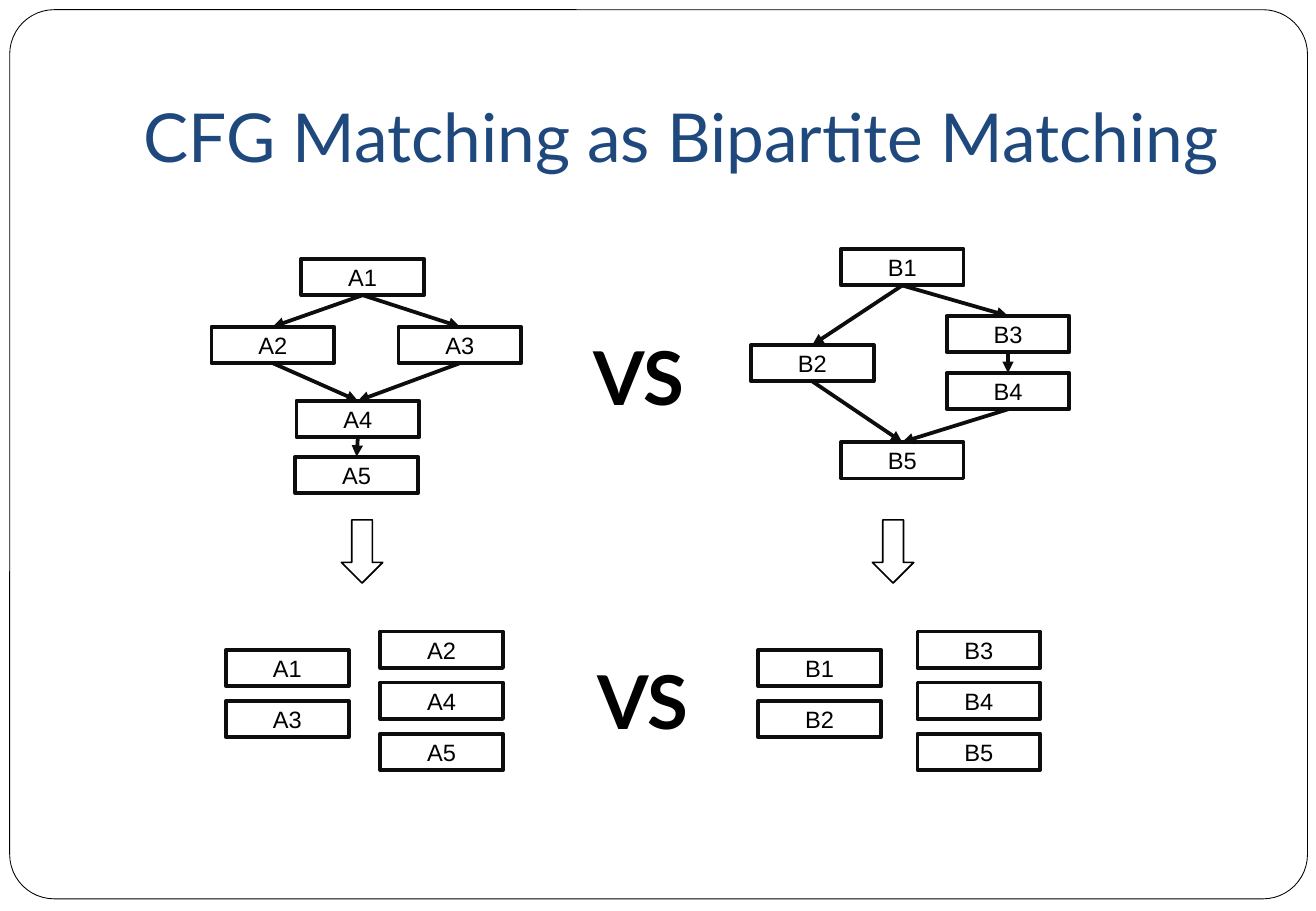
from lxml.etree import SubElement
from pptx import Presentation
from pptx.dml.color import RGBColor
from pptx.enum.shapes import MSO_CONNECTOR, MSO_SHAPE
from pptx.enum.text import MSO_ANCHOR, MSO_AUTO_SIZE, PP_ALIGN
from pptx.oxml.ns import qn
from pptx.util import Inches, Pt

TITLE = "CFG Matching as Bipartite Matching"
COLOURS = {"title": "1F497D", "paper": "FFFFFF", "text": "000000", "edge": "0D0D0D"}

COLUMNS, ROWS = 108.3, 75
CELL = Inches(0.1)
NODE_SIZE = (10.1, 3)
GRAPHS = [
    {
        "nodes": {"A1": (24.8, 21.3), "A2": (17.4, 26.9), "A3": (32.8, 26.9),
                  "A4": (24.4, 33), "A5": (24.3, 37.6)},
        "edges": [("A1", "A2"), ("A1", "A3"), ("A2", "A4"), ("A3", "A4"), ("A4", "A5")],
    },
    {
        "nodes": {"B1": (69.2, 20.5), "B2": (61.8, 28.4), "B3": (77.9, 26),
                  "B4": (77.9, 30.7), "B5": (69.2, 36.4)},
        "edges": [("B1", "B2"), ("B1", "B3"), ("B2", "B5"), ("B3", "B4"), ("B4", "B5")],
    },
]
STACK_STEP = 4.2
STACKS = [
    (18.6, 53.5, ["A1", "A3"]),
    (31.3, 52, ["A2", "A4", "A5"]),
    (62.4, 53.5, ["B1", "B2"]),
    (75.5, 52, ["B3", "B4", "B5"]),
]
VERSUS = [(47.7, 26.8), (48, 53.5)]
VERSUS_SIZE = (9.8, 8.4)
DOWN_ARROWS = [(28.1, 42.8), (71.8, 42.8)]
DOWN_ARROW_SIZE = (3.4, 5.2)


def colour(name):
    return RGBColor.from_string(COLOURS[name])


def place(position, size):
    return [round(cells * CELL) for cells in (*position, *size)]


def write(shape, words, font, size, tint, align, bold=False):
    para = shape.text_frame.paragraphs[0]
    para.alignment = align
    span = para.add_run()
    span.text = words
    span.font.name = font
    span.font.size = Pt(size)
    span.font.bold = bold
    span.font.color.rgb = colour(tint)


def add_outline(page, kind, position, size, line, width):
    shape = page.shapes.add_shape(kind, *place(position, size))
    shape.shadow.inherit = False
    shape.fill.solid()
    shape.fill.fore_color.rgb = colour("paper")
    shape.line.color.rgb = colour(line)
    shape.line.width = Pt(width)
    return shape


def add_node(page, name, position):
    node = add_outline(page, MSO_SHAPE.RECTANGLE, position, NODE_SIZE, "edge", 2.25)
    node.text_frame.vertical_anchor = MSO_ANCHOR.MIDDLE
    write(node, name, "Arial", 14, "text", PP_ALIGN.CENTER)
    return node


def add_edge(page, parent, child):
    edge = page.shapes.add_connector(MSO_CONNECTOR.STRAIGHT, 0, 0, 0, 0)
    edge.begin_connect(parent, 2)
    edge.end_connect(child, 0)
    edge.line.color.rgb = colour("edge")
    edge.line.width = Pt(2.25)
    SubElement(edge.line._get_or_add_ln(), qn("a:tailEnd"), type="triangle")
    SubElement(edge._element.spPr, qn("a:effectLst"))


def add_title(page):
    title = page.shapes.title
    title.left, title.top, title.width, title.height = place((10.8, 3), (92.1, 12.5))
    frame = title.text_frame
    frame.auto_size = MSO_AUTO_SIZE.NONE
    frame.vertical_anchor = MSO_ANCHOR.BOTTOM
    frame.margin_bottom = Inches(0.1)
    write(title, TITLE, "Lato", 40, "title", PP_ALIGN.LEFT)


def add_border(page):
    border = add_outline(page, MSO_SHAPE.ROUNDED_RECTANGLE, (0.8, 0.8), (106.8, 73.2), "text", 0.5)
    border.adjustments[0] = 0.05
    page.shapes.title._element.addprevious(border._element)


def main():
    deck = Presentation()
    deck.slide_width = round(COLUMNS * CELL)
    deck.slide_height = ROWS * CELL
    page = deck.slides.add_slide(deck.slide_layouts[5])
    add_border(page)
    add_title(page)

    for graph in GRAPHS:
        nodes = {name: add_node(page, name, spot) for name, spot in graph["nodes"].items()}
        for parent, child in graph["edges"]:
            add_edge(page, nodes[parent], nodes[child])

    for left, top, names in STACKS:
        for row, name in enumerate(names):
            add_node(page, name, (left, top + row * STACK_STEP))

    for spot in VERSUS:
        box = page.shapes.add_textbox(*place(spot, VERSUS_SIZE))
        box.text_frame.word_wrap = False
        write(box, "VS", "Lato", 44, "text", PP_ALIGN.CENTER, bold=True)

    for spot in DOWN_ARROWS:
        add_outline(page, MSO_SHAPE.DOWN_ARROW, spot, DOWN_ARROW_SIZE, "text", 1)

    deck.save("out.pptx")


if __name__ == "__main__":
    main()
